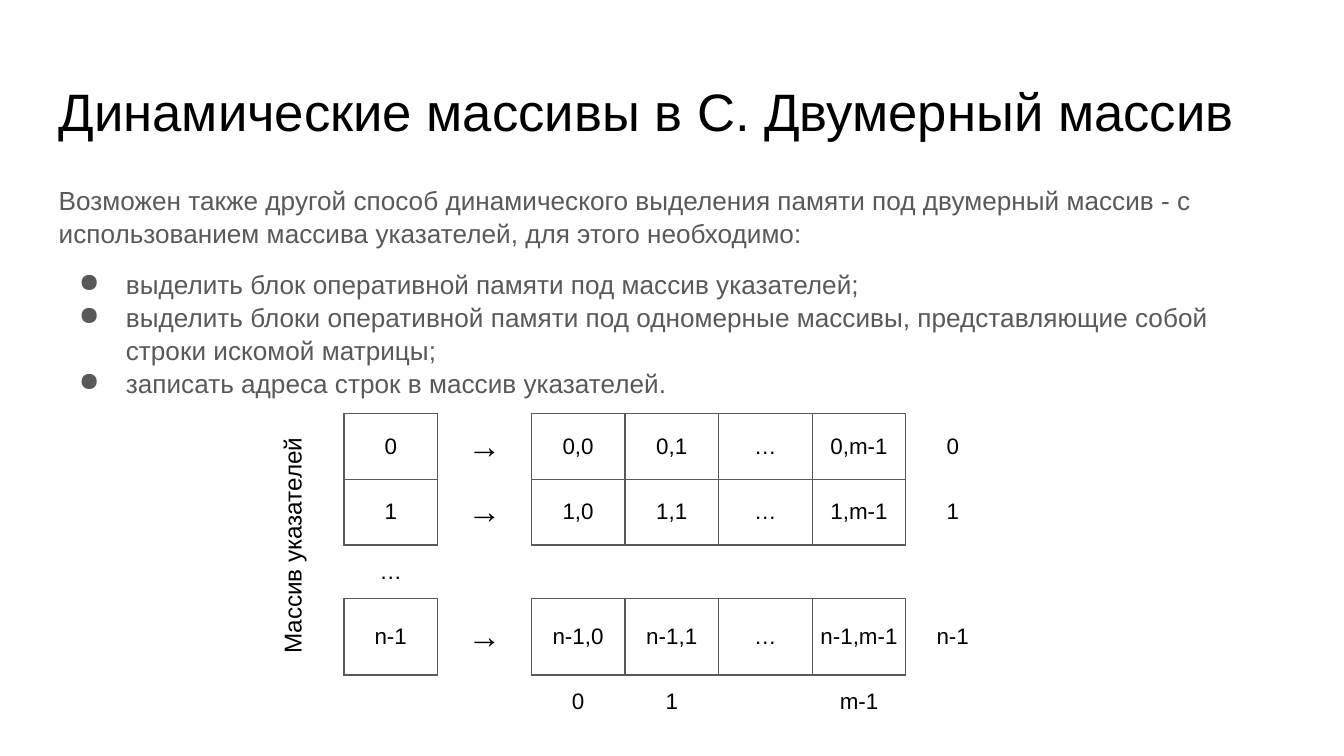
"""Slide on a two-dimensional dynamic array built from an array of pointers."""
from lxml import etree
from pptx import Presentation
from pptx.dml.color import RGBColor
from pptx.enum.text import MSO_ANCHOR, PP_ALIGN
from pptx.oxml.ns import qn
from pptx.util import Cm, Pt

TOP = MSO_ANCHOR.TOP
MIDDLE = MSO_ANCHOR.MIDDLE
LEFT = PP_ALIGN.LEFT
CENTER = PP_ALIGN.CENTER

BLACK = RGBColor(0x00, 0x00, 0x00)
GRAY = RGBColor(0x59, 0x59, 0x59)
FONT = "Arial"
ARROW = "→"

TITLE = "Динамические массивы в C. Двумерный массив"
INTRO = (
    "Возможен также другой способ динамического выделения памяти под двумерный "
    "массив - с использованием массива указателей, для этого необходимо:"
)
STEPS = [
    "выделить блок оперативной памяти под массив указателей;",
    "выделить блоки оперативной памяти под одномерные массивы, "
    "представляющие собой строки искомой матрицы;",
    "записать адреса строк в массив указателей.",
]
POINTER_LABEL = "Массив указателей"


def matrix_row(index):
    """Return the cell texts of one matrix row with its pointer and index."""
    elements = [f"{index},0", f"{index},1", "…", f"{index},m-1"]
    return [index, ARROW, *elements, index]


ROWS = [
    matrix_row("0"),
    matrix_row("1"),
    ["…", "", "", "", "", "", ""],
    matrix_row("n-1"),
    ["", "", "0", "1", "", "m-1", ""],
]
ROW_HEIGHTS = [1.24, 1.24, 1.02, 1.44, 1.02]
COLUMN_WIDTH = 1.77
BOXED_ROWS = {0, 1, 3}
BOXED_COLUMNS = {0, 2, 3, 4, 5}
NEIGHBOURS = {"lnL": (0, -1), "lnR": (0, 1), "lnT": (-1, 0), "lnB": (1, 0)}


def format_paragraph(paragraph, size, color, alignment=LEFT, bold=False):
    """Set the alignment and the font of a paragraph."""
    paragraph.alignment = alignment
    for run in paragraph.runs:
        run.font.name = FONT
        run.font.size = Pt(size)
        run.font.bold = bold
        run.font.color.rgb = color


def add_bullet(paragraph):
    """Give a paragraph a hanging bullet."""
    properties = paragraph._p.get_or_add_pPr()
    properties.set("marL", str(Cm(1.27)))
    properties.set("indent", str(-Cm(0.89)))
    bullet_color = etree.SubElement(properties, qn("a:buClr"))
    etree.SubElement(bullet_color, qn("a:srgbClr"), val=str(GRAY))
    etree.SubElement(properties, qn("a:buChar"), char="●")


def add_text_box(slide, left, top, width, height, lines, anchor=TOP):
    """Add a wrapped text box with one paragraph per line."""
    shape = slide.shapes.add_textbox(Cm(left), Cm(top), Cm(width), Cm(height))
    text_frame = shape.text_frame
    text_frame.word_wrap = True
    text_frame.vertical_anchor = anchor
    text_frame.margin_left = text_frame.margin_right = Cm(0.25)
    text_frame.margin_top = text_frame.margin_bottom = Cm(0.25)
    text_frame.text = "\n".join(lines)
    return shape


def add_title(slide):
    """Add the slide title."""
    shape = add_text_box(slide, 0.86, 1.24, 23.67, 1.6, [TITLE])
    format_paragraph(shape.text_frame.paragraphs[0], 28.2, BLACK)


def add_body(slide):
    """Add the introduction and the bulleted steps."""
    shape = add_text_box(slide, 0.86, 3.2, 23.67, 4.62, [INTRO, *STEPS])
    paragraphs = shape.text_frame.paragraphs
    for paragraph in paragraphs[1:]:
        add_bullet(paragraph)
    for paragraph in paragraphs:
        paragraph.line_spacing = 1.05
        format_paragraph(paragraph, 14, GRAY)
    paragraphs[1].space_before = Pt(10)


def is_boxed(row, column):
    """Tell whether a cell stands for a memory element."""
    return row in BOXED_ROWS and column in BOXED_COLUMNS


def set_borders(cell, row, column):
    """Draw the cell edges that touch a memory element and hide the others."""
    properties = cell._tc.get_or_add_tcPr()
    for edge, (row_step, column_step) in NEIGHBOURS.items():
        line = etree.SubElement(properties, qn(f"a:{edge}"), w=str(Pt(0.75)))
        if is_boxed(row, column) or is_boxed(row + row_step, column + column_step):
            fill = etree.SubElement(line, qn("a:solidFill"))
            etree.SubElement(fill, qn("a:srgbClr"), val=str(GRAY))
        else:
            etree.SubElement(line, qn("a:noFill"))


def fill_cell(cell, text):
    """Write centred text into a transparent cell without margins."""
    cell.fill.background()
    cell.vertical_anchor = MIDDLE
    cell.margin_left = cell.margin_right = 0
    cell.margin_top = cell.margin_bottom = 0
    cell.text_frame.text = text
    is_arrow = text == ARROW
    size = 18 if is_arrow else 12
    format_paragraph(cell.text_frame.paragraphs[0], size, BLACK, CENTER, is_arrow)


def add_memory_table(slide):
    """Add the table with the pointers and the matrix rows."""
    column_count = len(ROWS[0])
    frame = slide.shapes.add_table(
        len(ROWS), column_count, Cm(6.5), Cm(7.82),
        Cm(COLUMN_WIDTH * column_count), Cm(sum(ROW_HEIGHTS)),
    )
    table = frame.table
    table.first_row = False
    table.horz_banding = False
    for column in table.columns:
        column.width = Cm(COLUMN_WIDTH)
    for row, height in zip(table.rows, ROW_HEIGHTS):
        row.height = Cm(height)
    for row_index, texts in enumerate(ROWS):
        for column_index, text in enumerate(texts):
            cell = table.cell(row_index, column_index)
            set_borders(cell, row_index, column_index)
            fill_cell(cell, text)


def add_pointer_label(slide):
    """Add the upright label beside the pointer column."""
    shape = add_text_box(slide, 3.05, 9.78, 4.93, 1.07, [POINTER_LABEL], MIDDLE)
    shape.rotation = 270
    format_paragraph(shape.text_frame.paragraphs[0], 13, BLACK, CENTER)


def main():
    """Build and save the presentation."""
    presentation = Presentation()
    presentation.slide_width = Cm(25.4)
    presentation.slide_height = Cm(14.29)
    slide = presentation.slides.add_slide(presentation.slide_layouts[6])
    add_title(slide)
    add_body(slide)
    add_memory_table(slide)
    add_pointer_label(slide)
    presentation.save("out.pptx")


if __name__ == "__main__":
    main()
